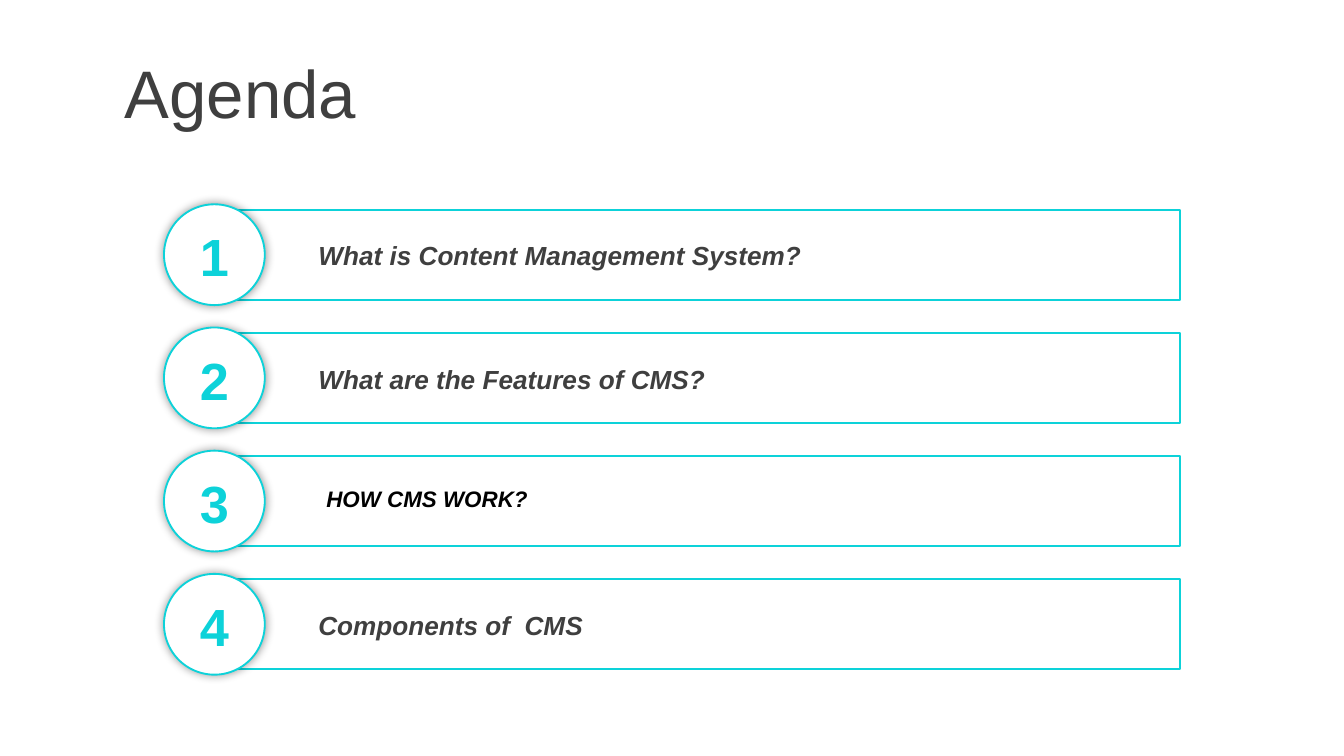
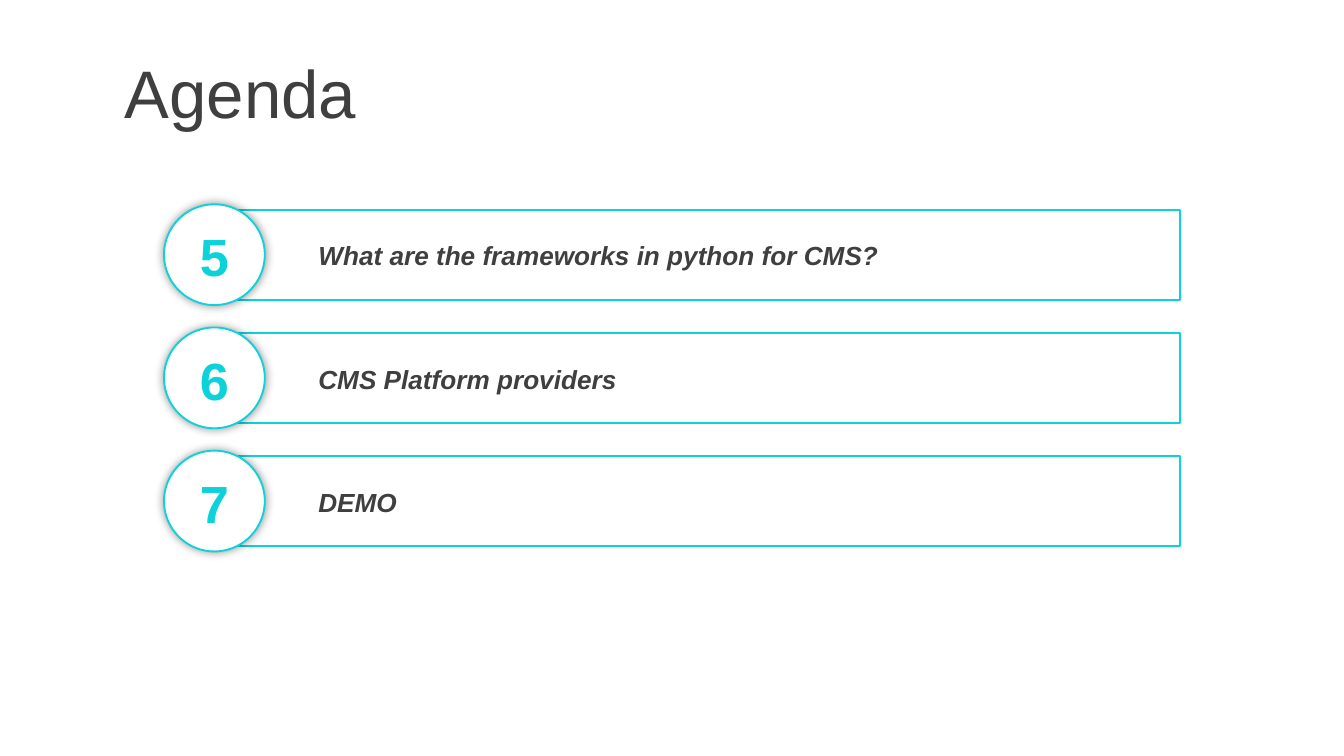
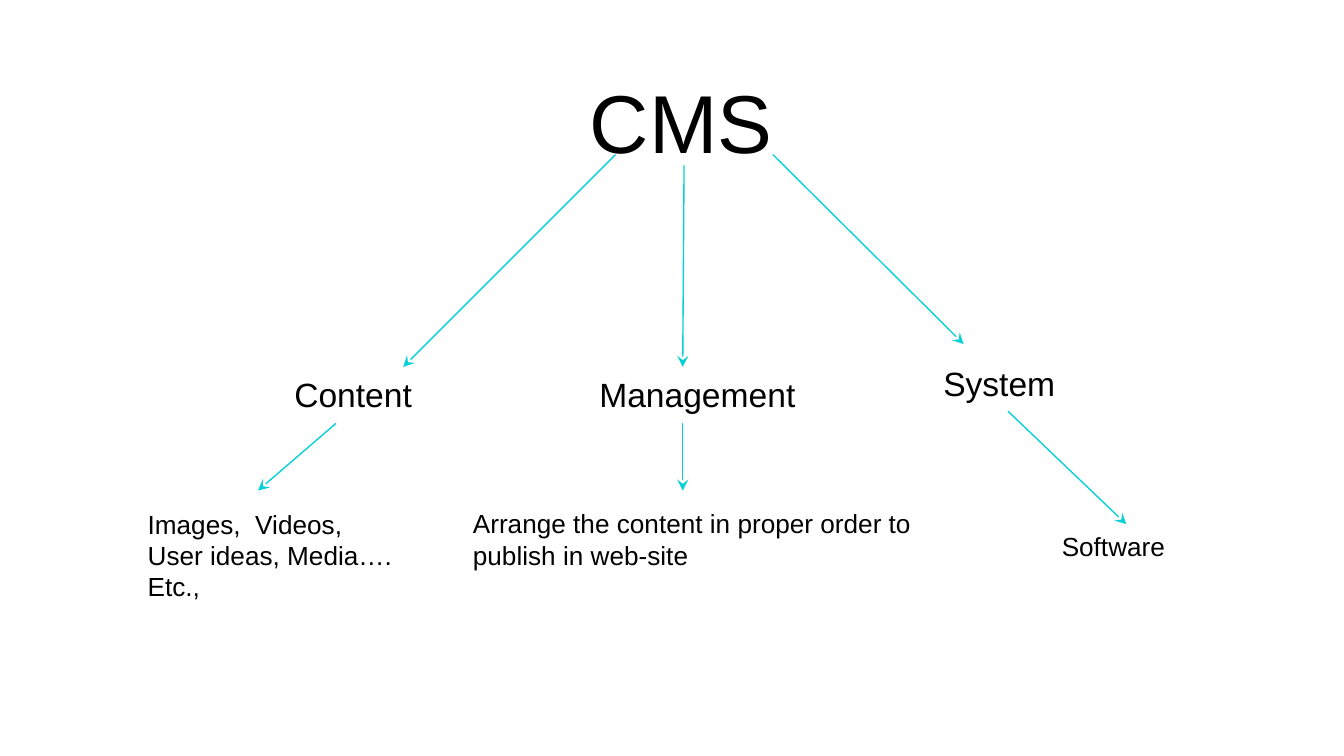
"""Build two agenda slides and a diagram of the letters CMS."""
from lxml import etree
from pptx import Presentation
from pptx.dml.color import RGBColor
from pptx.enum import shapes, text
from pptx.oxml import ns
from pptx.util import Inches, Pt

COLORS = {"ink": "3F3F3F", "black": "000000", "white": "FFFFFF",
          "accent": "0DD2D9", "arrow": "07D1D7"}
FONT = "Arial"
ROW_PITCH = 2.75 / 3
AGENDA_BOX = (1.22, 1.52, 7.56, 0.75)
ITEM_STYLE = {"size": 14, "bold": True, "italic": True}
EMPHASIS_STYLE = {"size": 12, "bold": True, "italic": True, "color": "black"}


def rgb(name):
    """Return a palette colour."""
    return RGBColor.from_string(COLORS[name])


def sub(parent, tag, **attributes):
    """Append a DrawingML element and return it."""
    return etree.SubElement(parent, ns.qn(tag), attributes)


def add_text(slide, box, content, size=14, color="ink", bold=False, italic=False,
             align=text.PP_ALIGN.LEFT, anchor=text.MSO_ANCHOR.MIDDLE,
             left_pad=0.1, right_pad=0.1):
    """Write lines of text in a wrapping box with one format."""
    frame = slide.shapes.add_textbox(*map(Inches, box)).text_frame
    frame.word_wrap = True
    frame.vertical_anchor = anchor
    frame.margin_left, frame.margin_right = Inches(left_pad), Inches(right_pad)
    frame.text = content
    for paragraph in frame.paragraphs:
        paragraph.alignment = align
        font = paragraph.runs[0].font
        font.name, font.size = FONT, Pt(size)
        font.bold, font.italic = bold, italic
        font.color.rgb = rgb(color)


def add_outlined(slide, kind, box, fill=None):
    """Draw an accent outline, filled or hollow, without a shadow."""
    outline = slide.shapes.add_shape(kind, *map(Inches, box))
    outline.shadow.inherit = False
    if fill:
        outline.fill.solid()
        outline.fill.fore_color.rgb = rgb(fill)
    else:
        outline.fill.background()
    outline.line.color.rgb = rgb("accent")
    outline.line.width = Pt(1)
    return outline


def add_glow_shadow(badge):
    """Give a badge a soft shadow on all sides."""
    effects = badge.element.spPr.find(ns.qn("a:effectLst"))
    shadow = sub(effects, "a:outerShdw", blurRad=str(Pt(5)), dist="0", dir="0",
                 algn="ctr", rotWithShape="0")
    tint = sub(shadow, "a:srgbClr", val=COLORS["black"])
    sub(tint, "a:alpha", val="40000")


def add_arrow(slide, start, end):
    """Draw a thin arrow between two points."""
    arrow = slide.shapes.add_connector(shapes.MSO_CONNECTOR.STRAIGHT,
                                       *map(Inches, start + end))
    arrow.line.color.rgb = rgb("arrow")
    arrow.line.width = Pt(0.75)
    properties = arrow.element.spPr
    sub(properties.find(ns.qn("a:ln")), "a:tailEnd", type="stealth")
    sub(properties, "a:effectLst")


def add_agenda_row(slide, box, number, topic, emphasized=False):
    """Draw a bar with its topic and a numbered badge."""
    left, top, width, height = box
    add_outlined(slide, shapes.MSO_SHAPE.RECTANGLE,
                 (left + 0.37, top + 0.04, width - 0.37, height - 0.08))
    if emphasized:
        add_text(slide, (left + 1.11, top + 0.21, 3.5, 0.3), topic, **EMPHASIS_STYLE)
    else:
        add_text(slide, (left + 1.05, top + 0.21, 6.28, 0.34), topic, **ITEM_STYLE)
    badge = add_outlined(slide, shapes.MSO_SHAPE.OVAL, (left, top, height, height), "white")
    add_glow_shadow(badge)
    add_text(slide, (left + 0.14, top + 0.1, 0.47, 0.57), str(number), size=28,
             color="accent", bold=True, align=text.PP_ALIGN.CENTER)


def add_agenda(slide, box, topics, first=1, emphasized=None):
    """Write the agenda title and its evenly spaced rows."""
    add_text(slide, (0.83, 0.37, 9.17, 0.63), "Agenda", size=36)
    left, top, width, height = box
    for index, topic in enumerate(topics):
        row = (left, top + index * ROW_PITCH, width, height)
        add_agenda_row(slide, row, first + index, topic, topic == emphasized)


def add_branch(slide, word, meaning, arrows):
    """Write a word with its meaning below and the arrows leading to each."""
    for (box, content, pad), size in ((word, 18), (meaning, 14)):
        add_text(slide, box, content, size=size, color="black",
                 anchor=text.MSO_ANCHOR.TOP, left_pad=pad)
    for start, end in arrows:
        add_arrow(slide, start, end)


def add_cms_tree(slide):
    """Split CMS into its three words and their meanings."""
    add_text(slide, (2.92, 0.48, 4.42, 0.83), "CMS", size=44, color="black",
             align=text.PP_ALIGN.CENTER, right_pad=0.22)
    add_branch(slide, ((1.67, 2.73, 2.33, 0.4), "Content", 0.52),
               ((1, 3.73, 2.08, 0.81), "Images,  Videos,\nUser ideas, Media…. Etc.,", 0.1),
               [((4.58, 1.15), (3, 2.73)), ((2.5, 3.15), (1.92, 3.65))])
    add_branch(slide, ((4.08, 2.73, 2.67, 0.4), "Management", 0.38),
               ((3.42, 3.73, 3.58, 0.57),
                "Arrange the content in proper order to\npublish in web-site", 0.1),
               [((5.09, 1.23), (5.08, 2.73)), ((5.08, 3.15), (5.08, 3.65))])
    add_branch(slide, ((6.92, 2.65, 2.58, 0.4), "System", 0.1),
               ((7.75, 3.9, 2.42, 0.34), "Software", 0.15),
               [((5.75, 1.15), (7.17, 2.56)), ((7.5, 3.06), (8.38, 3.9))])


def main():
    """Create the deck and save it."""
    deck = Presentation()
    deck.slide_width = Inches(10)
    deck.slide_height = deck.slide_width * 9 // 16
    opening, closing, tree = (deck.slides.add_slide(deck.slide_layouts[6]) for _ in range(3))
    add_agenda(opening, AGENDA_BOX,
               ["What is Content Management System?", "What are the Features of CMS?",
                "HOW CMS WORK?", "Components of  CMS"], emphasized="HOW CMS WORK?")
    add_agenda(closing, AGENDA_BOX,
               ["What are the frameworks in python for CMS?", "CMS Platform providers",
                "DEMO"], first=5)
    add_cms_tree(tree)
    deck.save("out.pptx")


if __name__ == "__main__":
    main()
